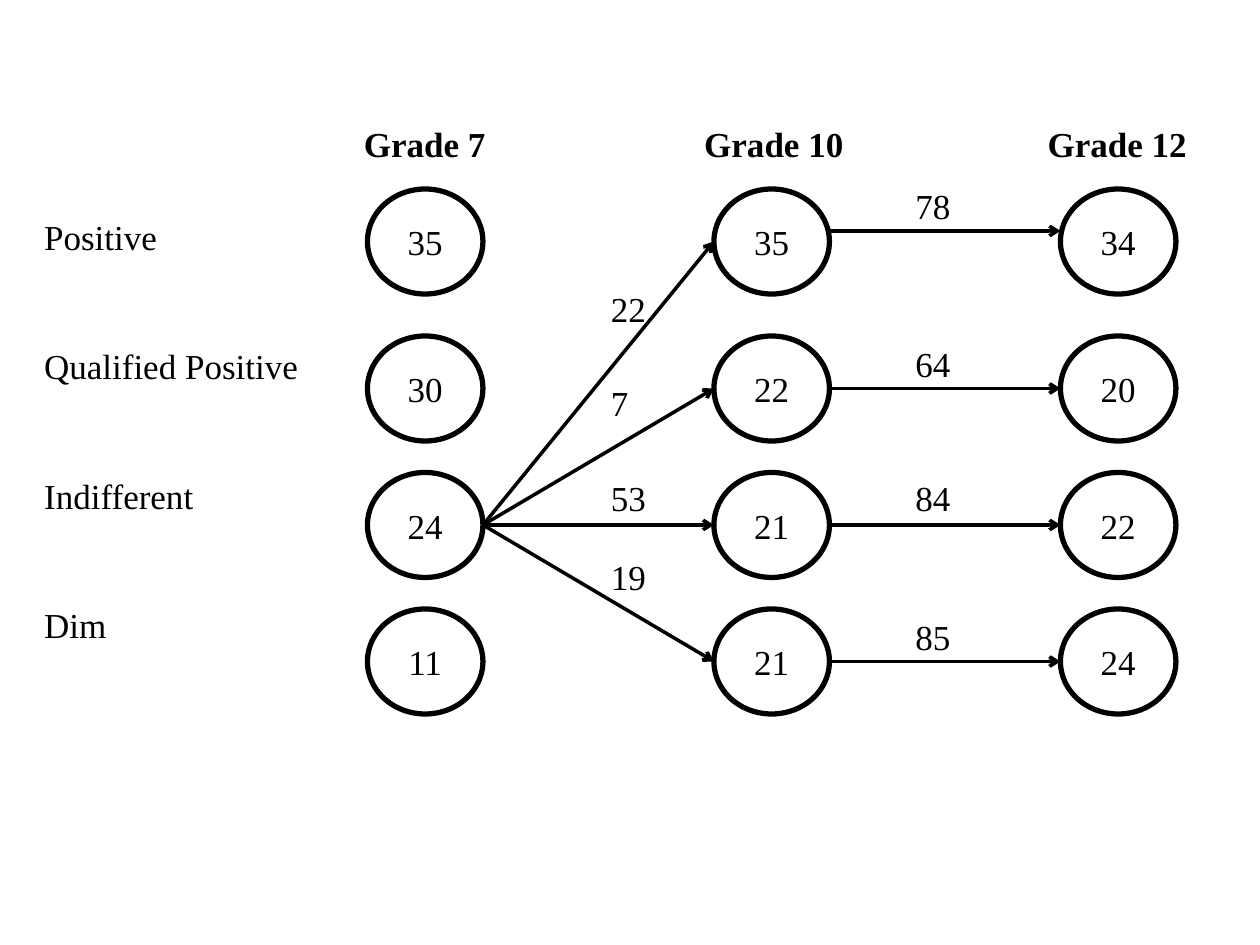
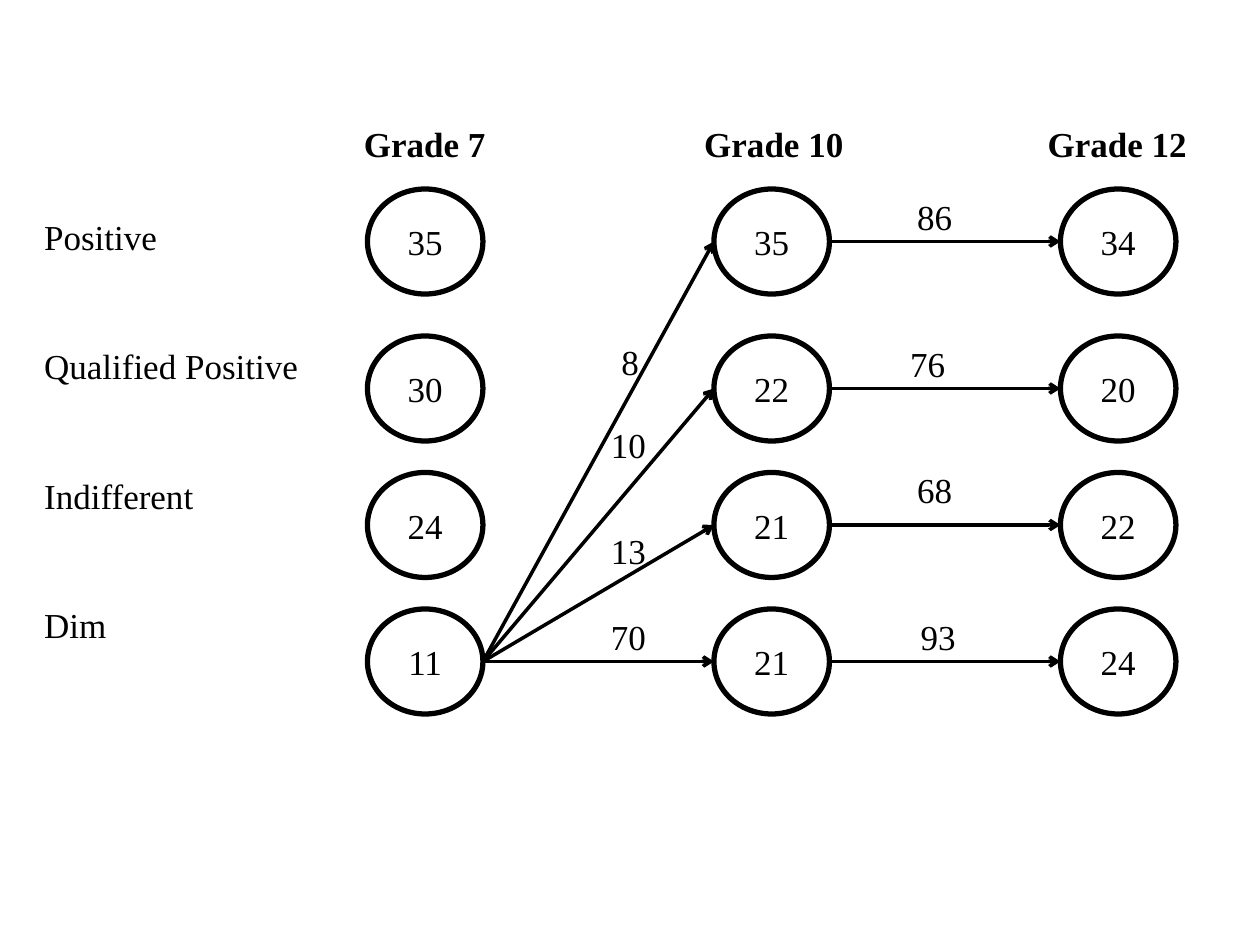
from lxml import etree
from pptx import Presentation
from pptx import util as u
from pptx.dml.color import RGBColor
from pptx.enum import shapes, text
from pptx.oxml.ns import qn

COLORS = {"ink": "000000", "paper": "FFFFFF"}
FONT = "Times New Roman"
FONT_SIZE = 20
NO_GRID_STYLE = "{2D5ABB26-0587-4C30-8999-92F81FD0307C}"

# Table of grades and attitudes
COLUMN_WIDTHS = [176.5, 96.5, 96.5, 109.5, 72.5, 138]
HEADER_HEIGHT, ROW_HEIGHT = 30, 74
LABEL_TOP_MARGIN = 26.6
GRADES = {1: "Grade 7", 3: "Grade 10", 5: "Grade 12"}
ATTITUDES = ["Positive", "Qualified Positive", "Indifferent", "Dim"]

# Circles: one column per grade, one row per attitude
CIRCLE_WIDTH, CIRCLE_HEIGHT = 66, 60
GRADE_LEFTS = [210 + 198 * column for column in range(3)]
ATTITUDE_TOPS = [108, 192, 270, 348]
SHARES = [[35, 30, 24, 11], [35, 22, 21, 21], [34, 20, 22, 24]]

# Per slide: starting row in Grade 7, height of the top right arrow,
# and the arrow labels as (value, left, top)
FLOWS = [
    {
        "start": 2,
        "top_arrow": 132,
        "labels": [
            (22, 342, 160.5), (7, 342, 214.5), (53, 342, 268.5), (19, 342, 314),
            (78, 516, 102), (64, 516, 192), (84, 516, 268.5), (85, 516, 348),
        ],
    },
    {
        "start": 3,
        "top_arrow": 138,
        "labels": [
            (8, 348, 191), (10, 342, 238.5), (13, 342, 299), (70, 342, 348),
            (86, 517, 108), (76, 513, 192), (68, 517, 264), (93, 519, 348),
        ],
    },
]


def color(name):
    return RGBColor.from_string(COLORS[name])


def write(frame, words, align=text.PP_ALIGN.LEFT, bold=False):
    frame.text = str(words)
    para = frame.paragraphs[0]
    para.alignment = align
    font = para.runs[0].font
    font.name, font.size, font.bold = FONT, u.Pt(FONT_SIZE), bold
    font.color.rgb = color("ink")


def add_grade_table(page):
    row_count, column_count = len(ATTITUDES) + 1, len(COLUMN_WIDTHS)
    height = HEADER_HEIGHT + ROW_HEIGHT * len(ATTITUDES)
    table = page.shapes.add_table(
        row_count, column_count, u.Pt(18), u.Pt(68.5),
        u.Pt(sum(COLUMN_WIDTHS)), u.Pt(height)).table
    table.first_row = table.horz_banding = False
    table._tbl.tblPr.find(qn("a:tableStyleId")).text = NO_GRID_STYLE
    for column, width in zip(table.columns, COLUMN_WIDTHS):
        column.width = u.Pt(width)
    for index, row in enumerate(table.rows):
        row.height = u.Pt(ROW_HEIGHT if index else HEADER_HEIGHT)
    for cell in table.iter_cells():
        cell.fill.background()
    for column, grade in GRADES.items():
        write(table.cell(0, column).text_frame, grade,
              text.PP_ALIGN.CENTER, bold=True)
    for row, attitude in enumerate(ATTITUDES, start=1):
        cell = table.cell(row, 0)
        cell.margin_top = u.Pt(LABEL_TOP_MARGIN)
        write(cell.text_frame, attitude)


def add_circle(page, left, top, share):
    circle = page.shapes.add_shape(
        shapes.MSO_SHAPE.OVAL, u.Pt(left), u.Pt(top),
        u.Pt(CIRCLE_WIDTH), u.Pt(CIRCLE_HEIGHT))
    circle.shadow.inherit = False
    circle.fill.background()
    circle.line.color.rgb = color("ink")
    circle.line.width = u.Pt(3)
    circle.text_frame.vertical_anchor = text.MSO_ANCHOR.MIDDLE
    write(circle.text_frame, share, text.PP_ALIGN.CENTER)


def add_arrow(page, start, end):
    arrow = page.shapes.add_connector(
        shapes.MSO_CONNECTOR.STRAIGHT, *map(u.Pt, start + end))
    arrow.line.color.rgb = color("ink")
    arrow.line.width = u.Pt(2)
    etree.SubElement(arrow.line._get_or_add_ln(), qn("a:tailEnd"), type="arrow")
    etree.SubElement(arrow._element.spPr, qn("a:effectLst"))


def add_label(page, value, left, top):
    box = page.shapes.add_textbox(u.Pt(left), u.Pt(top), u.Pt(42), u.Pt(31.5))
    box.text_frame.word_wrap = True
    box.text_frame.auto_size = text.MSO_AUTO_SIZE.SHAPE_TO_FIT_TEXT
    write(box.text_frame, value)


def add_flow_slide(deck, flow):
    page = deck.slides.add_slide(deck.slide_layouts[6])
    page.background.fill.solid()
    page.background.fill.fore_color.rgb = color("paper")
    add_grade_table(page)

    # Shares of each grade
    for left, shares in zip(GRADE_LEFTS, SHARES):
        for top, share in zip(ATTITUDE_TOPS, shares):
            add_circle(page, left, top, share)

    # Arrows fan out to Grade 10, then run level to Grade 12
    middles = [top + CIRCLE_HEIGHT / 2 for top in ATTITUDE_TOPS]
    rights = [left + CIRCLE_WIDTH for left in GRADE_LEFTS]
    origin = (rights[0], middles[flow["start"]])
    for middle in middles:
        add_arrow(page, origin, (GRADE_LEFTS[1], middle))
    for level in [flow["top_arrow"]] + middles[1:]:
        add_arrow(page, (rights[1], level), (GRADE_LEFTS[2], level))

    for value, left, top in flow["labels"]:
        add_label(page, value, left, top)


def main():
    deck = Presentation()
    deck.slide_width, deck.slide_height = u.Pt(720), u.Pt(540)
    for flow in FLOWS:
        add_flow_slide(deck, flow)
    deck.save("out.pptx")


if __name__ == "__main__":
    main()
